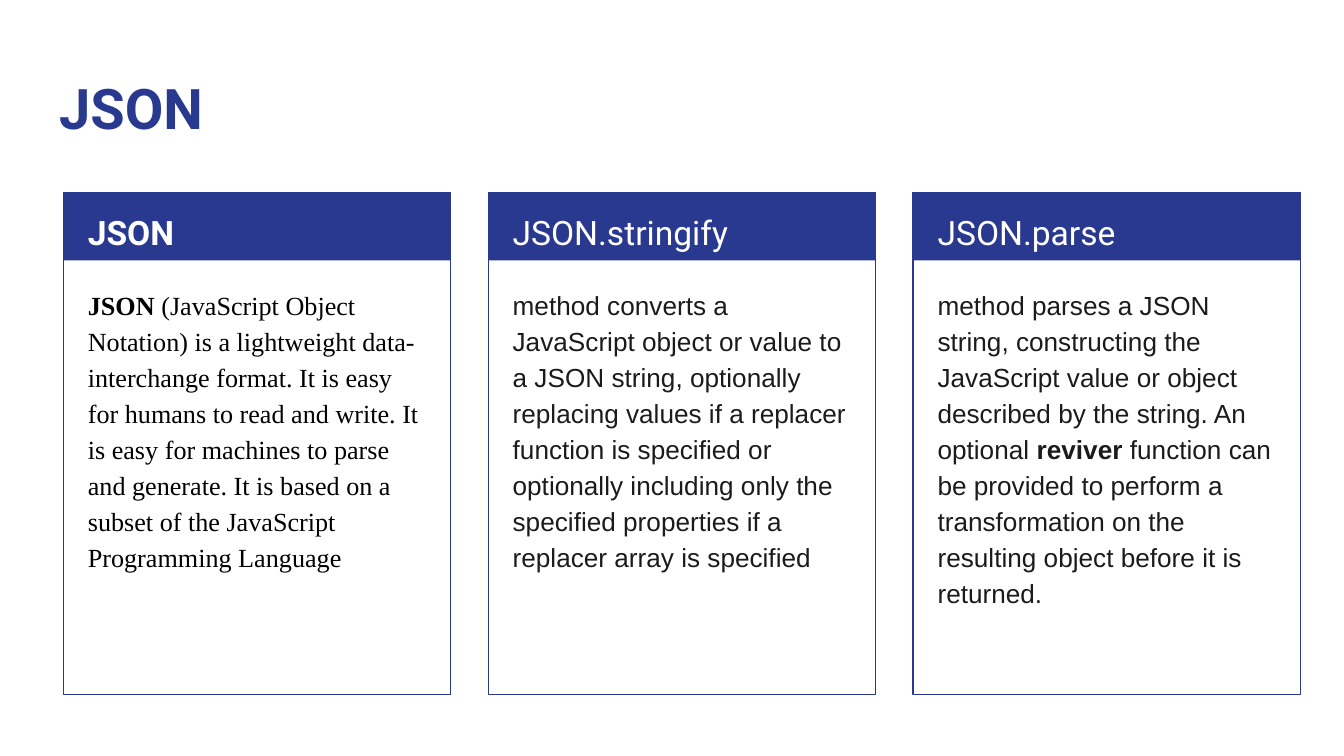
"""Build a slide with three cards that explain JSON and its two methods."""
from pptx import Presentation
from pptx.dml.color import RGBColor
from pptx.enum.shapes import MSO_SHAPE
from pptx.enum.text import MSO_ANCHOR, MSO_AUTO_SIZE, PP_ALIGN
from pptx.util import Pt

NAVY = RGBColor(0x2A, 0x39, 0x90)
WHITE = RGBColor(0xFF, 0xFF, 0xFF)
BLACK = RGBColor(0x00, 0x00, 0x00)
CHARCOAL = RGBColor(0x1B, 0x1B, 0x1B)

TITLE = "JSON"
CARDS = [
    {
        "heading": [("JSON", True)],
        "body": [
            ("JSON", True),
            (" (JavaScript Object Notation) is a lightweight data-interchange format. "
             "It is easy for humans to read and write. It is easy for machines to parse "
             "and generate. It is based on a subset of the JavaScript Programming Language", False),
        ],
        "font": "Times New Roman",
        "color": BLACK,
    },
    {
        "heading": [("JSON.stringify", False)],
        "body": [
            ("method converts a JavaScript object or value to a JSON string, optionally "
             "replacing values if a replacer function is specified or optionally including "
             "only the specified properties if a replacer array is specified", False),
        ],
        "font": "Arial",
        "color": CHARCOAL,
    },
    {
        "heading": [("JSON.parse", False)],
        "body": [
            ("method parses a JSON string, constructing the JavaScript value or object "
             "described by the string. An optional ", False),
            ("reviver", True),
            (" function can be provided to perform a transformation on the resulting "
             "object before it is returned.", False),
        ],
        "font": "Arial",
        "color": CHARCOAL,
    },
]

CARD_LEFT, CARD_TOP, CARD_PITCH = 34, 103, 227.6
CARD_WIDTH, CARD_HEIGHT, HEADER_HEIGHT = 207.4, 269, 36.5
TEXT_INSET, TEXT_WIDTH = 6, 196
BODY_TOP, BODY_HEIGHT = 145.4, 220


def write_text(shape, runs, font, size, color, line_spacing=None):
    text_frame = shape.text_frame
    text_frame.word_wrap = True
    text_frame.auto_size = MSO_AUTO_SIZE.NONE
    text_frame.vertical_anchor = MSO_ANCHOR.TOP
    text_frame.margin_left = text_frame.margin_right = Pt(7.2)
    text_frame.margin_top = text_frame.margin_bottom = Pt(7.2)
    paragraph = text_frame.paragraphs[0]
    paragraph.alignment = PP_ALIGN.LEFT
    paragraph.line_spacing = line_spacing
    for text, bold in runs:
        run = paragraph.add_run()
        run.text = text
        run.font.name = font
        run.font.size = Pt(size)
        run.font.bold = bold
        run.font.color.rgb = color


def add_rectangle(shapes, left, height):
    rectangle = shapes.add_shape(
        MSO_SHAPE.RECTANGLE, Pt(left), Pt(CARD_TOP), Pt(CARD_WIDTH), Pt(height))
    rectangle.shadow.inherit = False
    return rectangle


def add_card(slide, left, card):
    group = slide.shapes.add_group_shape()
    header = add_rectangle(group.shapes, left, HEADER_HEIGHT)
    header.fill.solid()
    header.fill.fore_color.rgb = NAVY
    header.line.fill.background()
    frame = add_rectangle(group.shapes, left, CARD_HEIGHT)
    frame.fill.background()
    frame.line.color.rgb = NAVY
    frame.line.width = Pt(0.75)

    text_left = Pt(left + TEXT_INSET)
    heading = slide.shapes.add_textbox(text_left, Pt(CARD_TOP), Pt(TEXT_WIDTH), Pt(36))
    write_text(heading, card["heading"], "Roboto", 18, WHITE, 1.15)
    body = slide.shapes.add_textbox(text_left, Pt(BODY_TOP), Pt(TEXT_WIDTH), Pt(BODY_HEIGHT))
    write_text(body, card["body"], card["font"], 14, card["color"], 1.15)


def main():
    presentation = Presentation()
    presentation.slide_width, presentation.slide_height = Pt(720), Pt(405)
    slide = presentation.slides.add_slide(presentation.slide_layouts[5])
    title = slide.shapes.title
    title.left, title.top, title.width, title.height = Pt(24.5), Pt(32.4), Pt(671), Pt(47.5)
    write_text(title, [(TITLE, True)], "Roboto", 30, NAVY)
    for index, card in enumerate(CARDS):
        add_card(slide, CARD_LEFT + index * CARD_PITCH, card)
    presentation.save("out.pptx")


if __name__ == "__main__":
    main()
